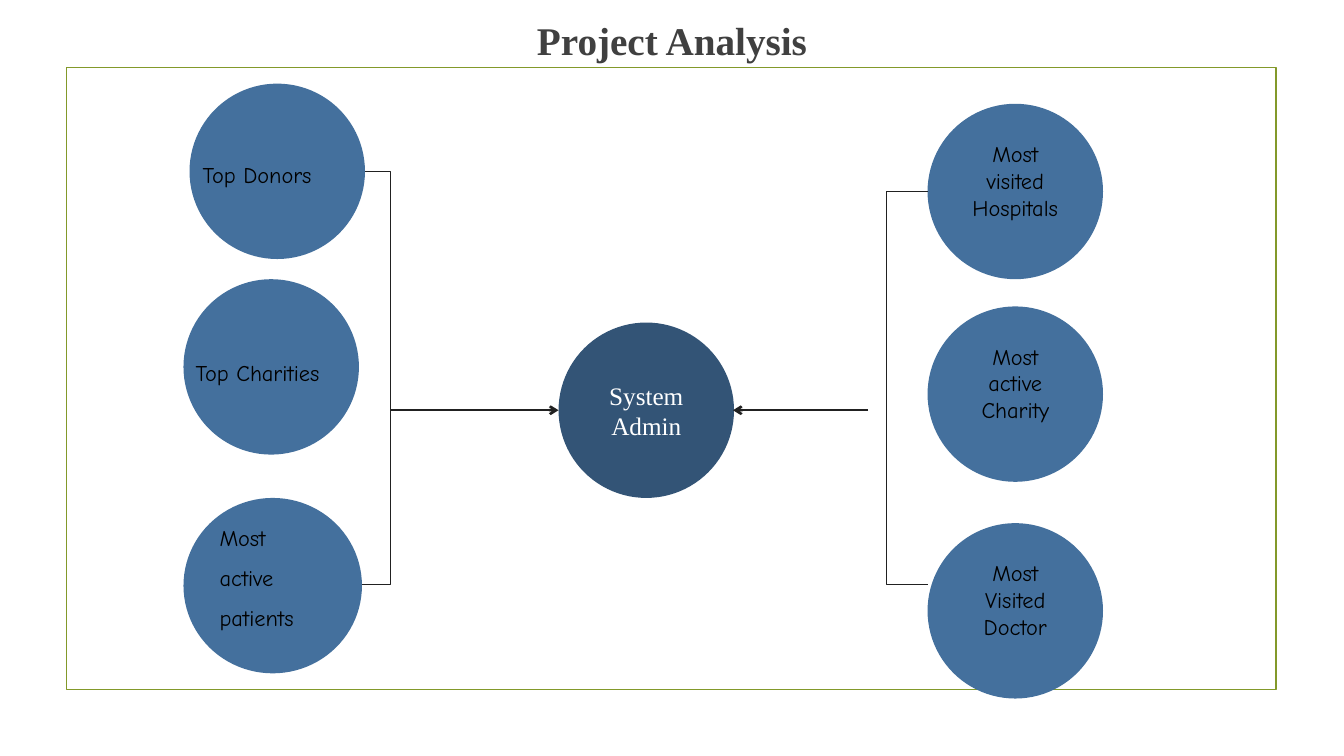
from typing import NamedTuple

from lxml.etree import SubElement
from pptx import Presentation
from pptx.dml.color import RGBColor
from pptx.enum.shapes import MSO_CONNECTOR, MSO_SHAPE
from pptx.enum.text import MSO_ANCHOR as Anchor, MSO_AUTO_SIZE as AutoSize, PP_ALIGN as Align
from pptx.oxml.ns import qn
from pptx.util import Pt

PX = 9144
DIAMETER = 174
BLUE, NAVY, OLIVE, INK = "44709D", "335476", "83992A", "212121"
SERIF, HAND = "Times New Roman", "Comic Neue"


class Style(NamedTuple):
    font: str
    size: int
    color: str
    bold: bool = False
    align: Align = Align.CENTER
    spacing: float = 1.0


TITLE = Style(SERIF, 28, "404040", bold=True, spacing=0.9)
ADMIN = Style(SERIF, 18, "FFFFFF")
CENTERED = Style(HAND, 16, "000000")
LEFT = Style(HAND, 16, "000000", align=Align.LEFT, spacing=1.5)


class Circle(NamedTuple):
    left: int
    top: int
    text: str = ""
    style: Style = CENTERED
    bottom_inset: int = 27
    width: int = DIAMETER
    fill: str = BLUE


class Label(NamedTuple):
    left: int
    top: int
    width: int
    height: int
    text: str
    style: Style
    anchor: Anchor = Anchor.MIDDLE


class Arrow(NamedTuple):
    start_x: int
    end_x: int
    y: int = 407


class Bracket(NamedTuple):
    points: tuple[tuple[int, int], ...]


CIRCLES = [
    Circle(188, 83),
    Circle(182, 277),
    Circle(182, 494, "Most active patients", LEFT, 34, 177),
    Circle(554, 320, "System Admin", ADMIN, 5, fill=NAVY),
    Circle(920, 103, "Most visited Hospitals"),
    Circle(920, 304, "Most active Charity"),
    Circle(920, 519, "Most Visited Doctor"),
]
LABELS = [
    Label(25, 21, 1283, 85, "Project Analysis", TITLE, Anchor.TOP),
    Label(201, 149, 150, 36, "Top Donors", LEFT),
    Label(194, 345, 150, 36, "Top Charities", LEFT),
]
ARROWS = [Arrow(387, 554), Arrow(861, 727)]
BRACKETS = [
    Bracket(((362, 170), (387, 170), (387, 580), (359, 580))),
    Bracket(((920, 190), (879, 190), (879, 580), (920, 580))),
]


def rgb(value: str) -> RGBColor:
    return RGBColor.from_string(value)


def emu(*lengths: int) -> list[int]:
    return [length * PX for length in lengths]


def set_line(shape, color: str, width: float) -> None:
    shape.line.color.rgb = rgb(color)
    shape.line.width = Pt(width)


def write(text_frame, text: str, style: Style, anchor: Anchor) -> None:
    text_frame.word_wrap = True
    text_frame.vertical_anchor = anchor
    text_frame.text = text
    paragraph = text_frame.paragraphs[0]
    paragraph.alignment = style.align
    paragraph.line_spacing = style.spacing
    font = paragraph.runs[0].font
    font.name, font.size, font.bold = style.font, Pt(style.size), style.bold
    font.color.rgb = rgb(style.color)


def draw_frame(slide) -> None:
    frame = slide.shapes.add_shape(MSO_SHAPE.RECTANGLE, *emu(66, 67, 1200, 617))
    frame.shadow.inherit = False
    frame.fill.background()
    set_line(frame, OLIVE, 1.25)


def draw_circle(slide, circle: Circle) -> None:
    shape = slide.shapes.add_shape(
        MSO_SHAPE.OVAL, *emu(circle.left, circle.top, circle.width, DIAMETER))
    shape.shadow.inherit = False
    shape.fill.solid()
    shape.fill.fore_color.rgb = rgb(circle.fill)
    shape.line.fill.background()
    if circle.text:
        shape.text_frame.margin_bottom = circle.bottom_inset * PX
        write(shape.text_frame, circle.text, circle.style, Anchor.MIDDLE)


def draw_label(slide, label: Label) -> None:
    box = slide.shapes.add_textbox(*emu(label.left, label.top, label.width, label.height))
    text_frame = box.text_frame
    text_frame.margin_left = text_frame.margin_right = 0
    text_frame.margin_top = text_frame.margin_bottom = 0
    write(text_frame, label.text, label.style, label.anchor)
    text_frame.auto_size = AutoSize.SHAPE_TO_FIT_TEXT


def draw_arrow(slide, arrow: Arrow) -> None:
    connector = slide.shapes.add_connector(
        MSO_CONNECTOR.STRAIGHT, *emu(arrow.start_x, arrow.y, arrow.end_x, arrow.y))
    set_line(connector, INK, 1.75)
    SubElement(connector.line._get_or_add_ln(), qn("a:tailEnd"), type="arrow")
    SubElement(connector._element.spPr, qn("a:effectLst"))


def draw_bracket(slide, bracket: Bracket) -> None:
    start, *corners = bracket.points
    builder = slide.shapes.build_freeform(*start, scale=PX)
    builder.add_line_segments(corners, close=False)
    shape = builder.convert_to_shape()
    shape.shadow.inherit = False
    shape.fill.background()
    set_line(shape, INK, 0.75)


def main() -> None:
    """Build the project analysis slide and save it."""
    presentation = Presentation()
    presentation.slide_width, presentation.slide_height = emu(1333, 750)
    slide = presentation.slides.add_slide(presentation.slide_layouts[6])
    draw_frame(slide)
    for circle in CIRCLES:
        draw_circle(slide, circle)
    for label in LABELS:
        draw_label(slide, label)
    for arrow in ARROWS:
        draw_arrow(slide, arrow)
    for bracket in BRACKETS:
        draw_bracket(slide, bracket)
    presentation.save("out.pptx")


if __name__ == "__main__":
    main()
